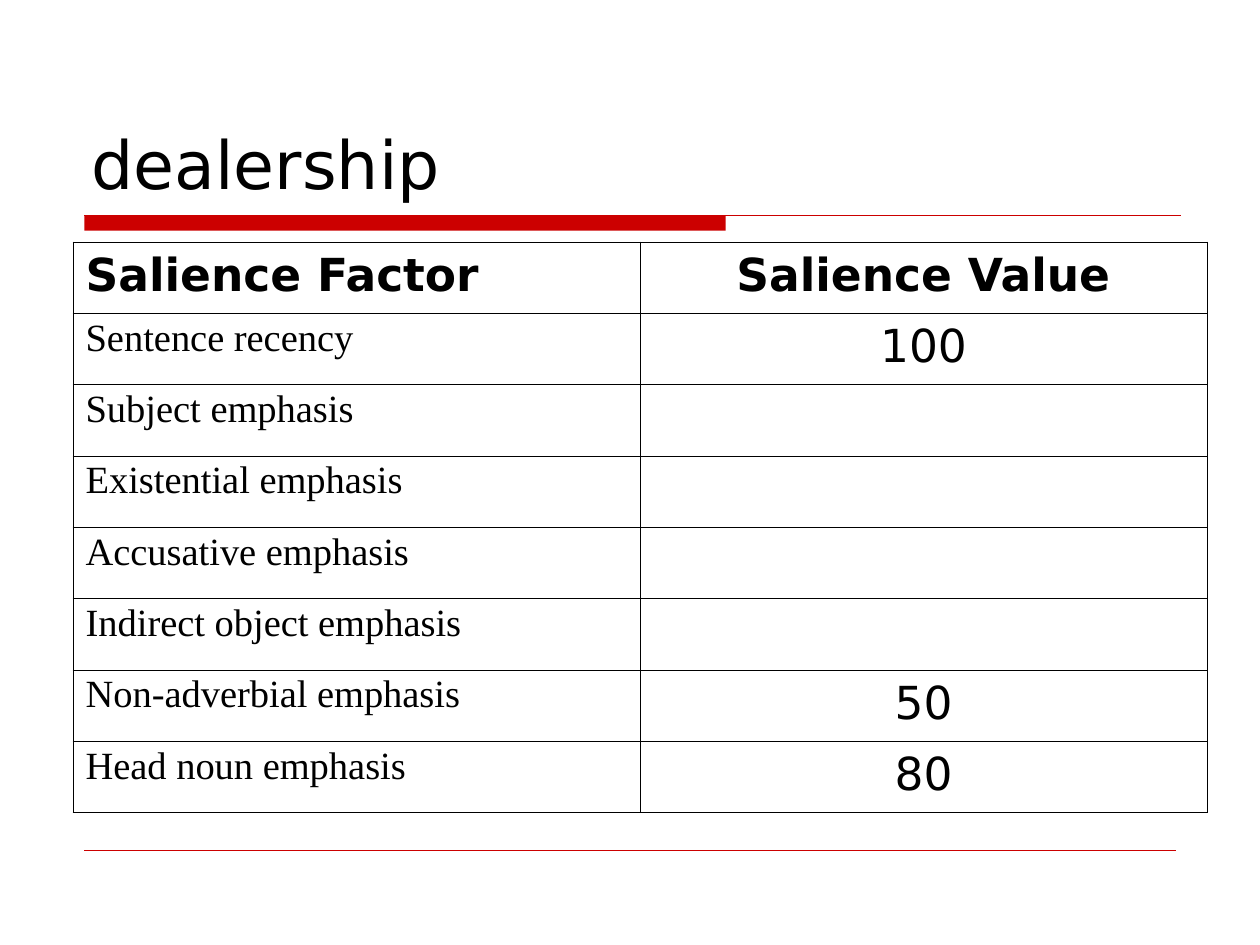
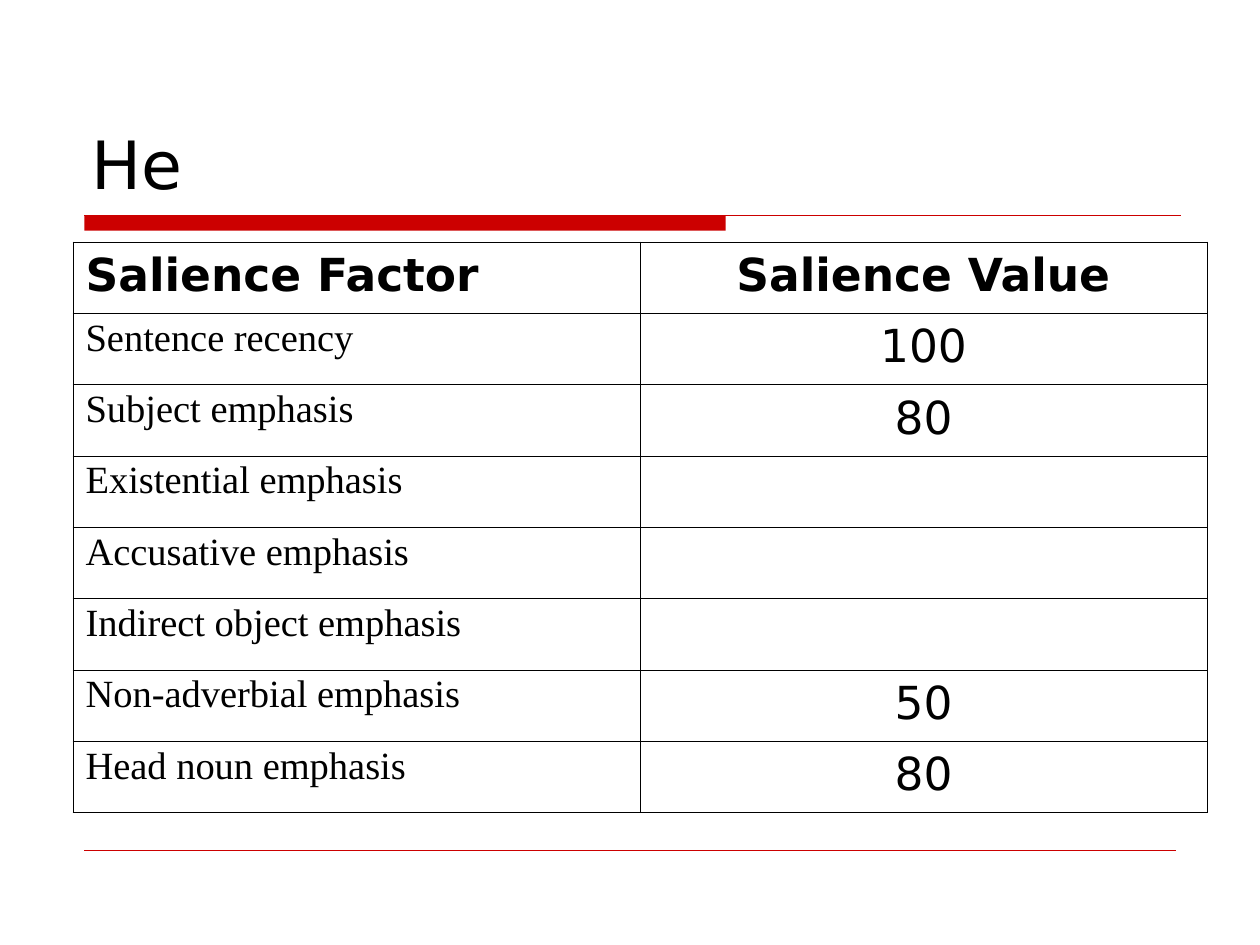
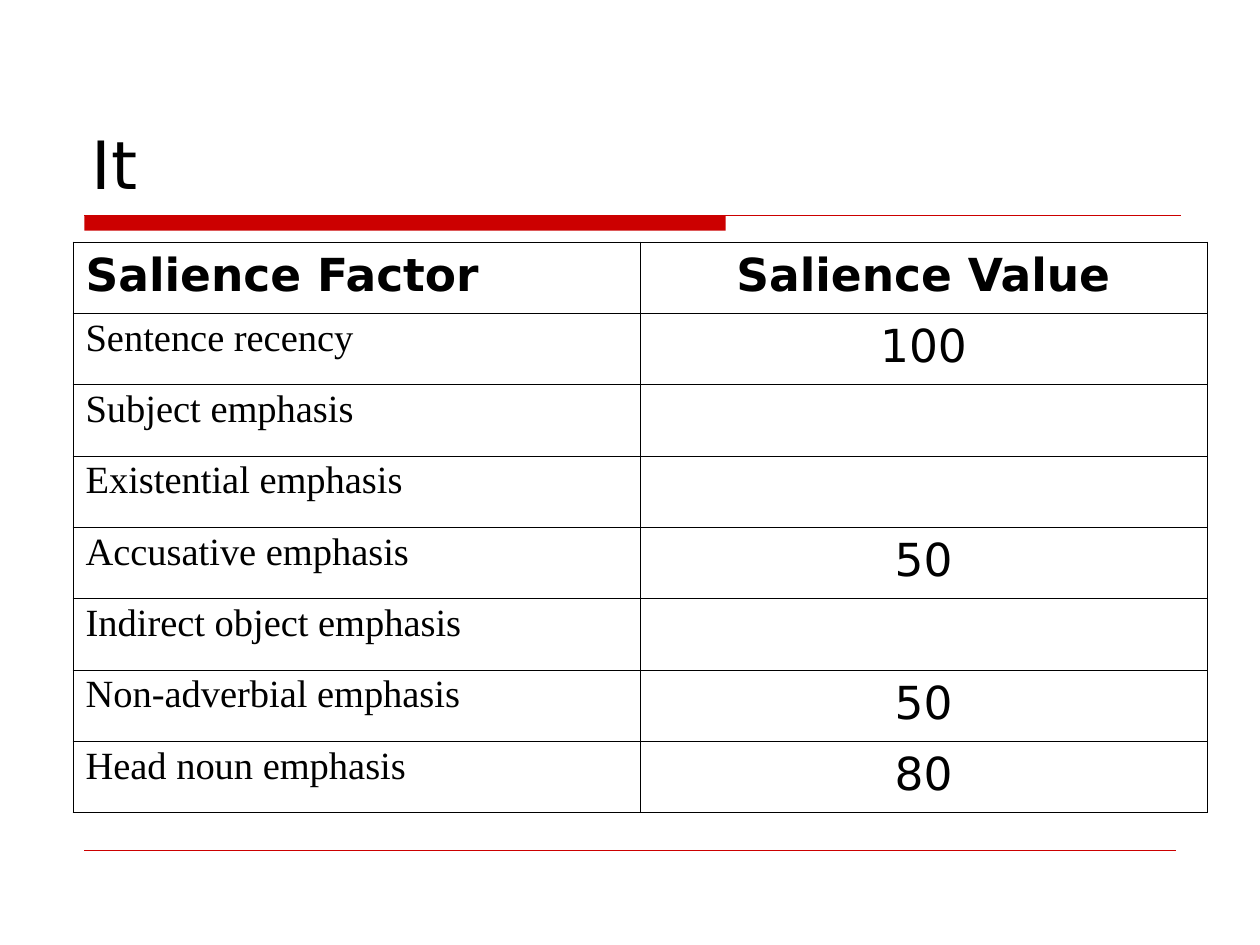
from dataclasses import dataclass

from lxml.etree import SubElement
from pptx import Presentation
from pptx.dml.color import RGBColor
from pptx.enum.shapes import MSO_CONNECTOR, MSO_SHAPE
from pptx.enum.text import MSO_ANCHOR, PP_ALIGN
from pptx.oxml.ns import qn
from pptx.slide import Slide
from pptx.table import _Cell
from pptx.text.text import _Paragraph
from pptx.util import Inches, Pt

COLORS = {"accent": "CC0000", "text": "000000", "border": "000000"}
SANS = "DejaVu Sans"
SERIF = "Times New Roman"
OUTER_BORDER, INNER_BORDER = 0.5, 0.23

HEADINGS = ("Salience Factor", "Salience Value")
FACTORS = (
    "Sentence recency",
    "Subject emphasis",
    "Existential emphasis",
    "Accusative emphasis",
    "Indirect object emphasis",
    "Non-adverbial emphasis",
    "Head noun emphasis",
)


@dataclass(frozen=True)
class TextStyle:
    font: str
    size: float
    bold: bool = False
    align: PP_ALIGN = PP_ALIGN.LEFT
    line_spacing: float = 1.0


@dataclass(frozen=True)
class Rule:
    left: float
    right: float
    y: float
    weight: float


@dataclass(frozen=True)
class Referent:
    title: str
    values: dict[str, int]


TITLE = TextStyle(SANS, 38)
FACTOR_HEADING = TextStyle(SANS, 26, True, PP_ALIGN.LEFT, 1.02)
VALUE_HEADING = TextStyle(SANS, 26, True, PP_ALIGN.CENTER, 1.02)
FACTOR = TextStyle(SERIF, 22, line_spacing=0.93)
VALUE = TextStyle(SANS, 26, False, PP_ALIGN.CENTER, 1.02)

RULES = (Rule(0.67, 9.37, 1.71, 0.75), Rule(0.67, 9.33, 6.75, 0.25))

# Factors that every referent shares
COMMON = {
    "Sentence recency": 100,
    "Non-adverbial emphasis": 50,
    "Head noun emphasis": 80,
}
REFERENTS = (
    Referent("dealership", COMMON),
    Referent("He", COMMON | {"Subject emphasis": 80}),
    Referent("It", COMMON | {"Accusative emphasis": 50}),
)


def color(name: str) -> RGBColor:
    return RGBColor.from_string(COLORS[name])


def write(paragraph: _Paragraph, text: str, style: TextStyle) -> None:
    paragraph.text = text
    paragraph.alignment = style.align
    paragraph.line_spacing = style.line_spacing
    font = paragraph.font
    font.name, font.size, font.bold = style.font, Pt(style.size), style.bold
    font.color.rgb = color("text")


def draw_rule(slide: Slide, rule: Rule) -> None:
    line = slide.shapes.add_connector(
        MSO_CONNECTOR.STRAIGHT,
        Inches(rule.left), Inches(rule.y), Inches(rule.right), Inches(rule.y),
    )
    line.line.color.rgb = color("accent")
    line.line.width = Pt(rule.weight)
    SubElement(line._element.spPr, qn("a:effectLst"))


def draw_frame(slide: Slide, title: str) -> None:
    # Band under the title, with the title and footer rules
    band = slide.shapes.add_shape(
        MSO_SHAPE.RECTANGLE, Inches(0.67), Inches(1.71), Inches(5.09), Inches(0.12)
    )
    band.shadow.inherit = False
    band.fill.solid()
    band.fill.fore_color.rgb = color("accent")
    band.line.fill.background()
    for rule in RULES:
        draw_rule(slide, rule)

    # Title
    heading = slide.shapes.add_textbox(
        Inches(0.63), Inches(0.33), Inches(8.75), Inches(1.33)
    ).text_frame
    heading.word_wrap = True
    heading.vertical_anchor = MSO_ANCHOR.BOTTOM
    write(heading.paragraphs[0], title, TITLE)


def set_borders(cell: _Cell, outer_sides: dict[str, bool]) -> None:
    properties = cell._tc.get_or_add_tcPr()
    for side, is_outer in outer_sides.items():
        weight = OUTER_BORDER if is_outer else INNER_BORDER
        border = SubElement(properties, qn(f"a:ln{side}"), w=str(Pt(weight)))
        fill = SubElement(border, qn("a:solidFill"))
        SubElement(fill, qn("a:srgbClr"), val=COLORS["border"])


def draw_salience_table(slide: Slide, values: dict[str, int]) -> None:
    rows = [HEADINGS] + [(name, str(values.get(name, ""))) for name in FACTORS]
    table = slide.shapes.add_table(
        len(rows), len(HEADINGS), Inches(0.58), Inches(1.92), Inches(9), Inches(4.53)
    ).table
    table.first_row = table.horz_banding = False

    last_row, last_column = len(rows) - 1, len(HEADINGS) - 1
    for r, row in enumerate(rows):
        styles = (FACTOR, VALUE) if r else (FACTOR_HEADING, VALUE_HEADING)
        for c, (text, style) in enumerate(zip(row, styles)):
            cell = table.cell(r, c)
            set_borders(cell, {
                "L": c == 0, "R": c == last_column,
                "T": r == 0, "B": r == last_row,
            })
            cell.fill.background()
            if text:
                write(cell.text_frame.paragraphs[0], text, style)


def main() -> None:
    presentation = Presentation()
    presentation.slide_width = Inches(10)
    presentation.slide_height = Inches(7.5)
    blank = presentation.slide_layouts[6]
    for referent in REFERENTS:
        slide = presentation.slides.add_slide(blank)
        draw_frame(slide, referent.title)
        draw_salience_table(slide, referent.values)
    presentation.save("out.pptx")


if __name__ == "__main__":
    main()
